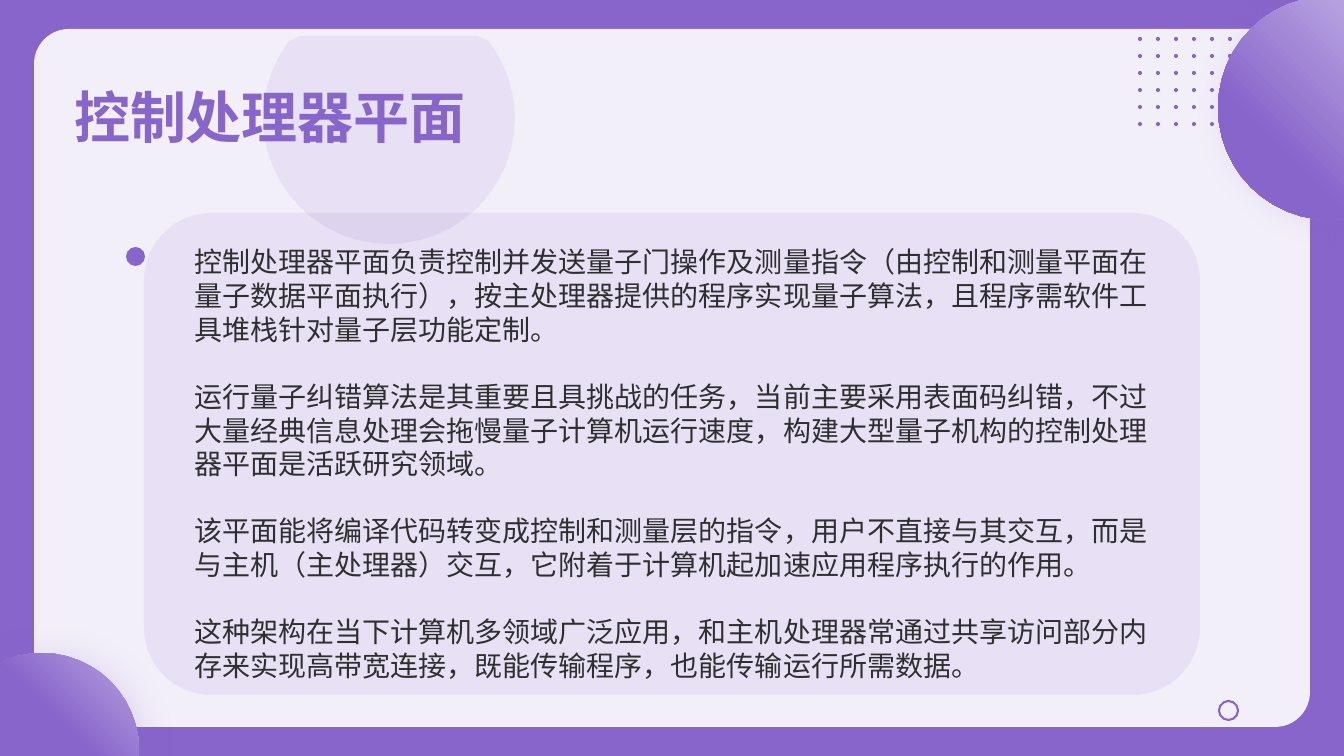
"""Build the slide on the control processor plane of a quantum computer."""
from math import cos, pi, sin
from lxml import etree
from pptx import Presentation
from pptx import util as u
from pptx.dml.color import RGBColor
from pptx.enum import shapes, text
from pptx.oxml.ns import qn

PX = 12192000 / 1344
WIDE, HIGH = 1344, 756
HUES = {"purple": "8865CB", "lilac": "B8A3E0", "white": "FFFFFF", "ink": "2F2F2F"}
RGB = {name: RGBColor.from_string(hue) for name, hue in HUES.items()}
NOTES = [
    "控制处理器平面负责控制并发送量子门操作及测量指令（由控制和测量平面在量子数据平面执行），按主处理器提供的程序实现量子算法，且程序需软件工具堆栈针对量子层功能定制。",
    "运行量子纠错算法是其重要且具挑战的任务，当前主要采用表面码纠错，不过大量经典信息处理会拖慢量子计算机运行速度，构建大型量子机构的控制处理器平面是活跃研究领域。",
    "该平面能将编译代码转变成控制和测量层的指令，用户不直接与其交互，而是与主机（主处理器）交互，它附着于计算机起加速应用程序执行的作用。",
    "这种架构在当下计算机多领域广泛应用，和主机处理器常通过共享访问部分内存来实现高带宽连接，既能传输程序，也能传输运行所需数据。",
]

deck = Presentation()
deck.slide_width, deck.slide_height = round(WIDE * PX), round(HIGH * PX)
slide = deck.slides.add_slide(deck.slide_layouts[1])
slide.background.fill.solid()
slide.background.fill.fore_color.rgb = RGB["purple"]
tree = slide.shapes


def outline(x, y, r, top=0):
    """Draw a circle as a freeform, cut at the slide edges and at top."""
    turns = [pi * i / 24 for i in range(48)]
    rim = [(10 * min(max(x + r * cos(a), 0), WIDE),
            10 * min(max(y + r * sin(a), top), HIGH)) for a in turns]
    build = tree.build_freeform(*rim[0], scale=PX / 10)
    build.add_line_segments(rim[1:], close=True)
    return build.convert_to_shape()


def paint(shape, hue=None, alpha=100, shade=False):
    """Give a shape a flat fill or none, no line, and a soft shadow if asked."""
    shape.shadow.inherit = False
    shape.line.fill.background()
    if hue:
        shape.fill.solid()
        shape.fill.fore_color.rgb = RGB[hue]
        tint = shape.fill._xPr.find(".//" + qn("a:srgbClr"))
        if alpha < 100:
            etree.SubElement(tint, qn("a:alpha"), val=str(alpha * 1000))
    else:
        shape.fill.background()
    if shade:
        glow = etree.SubElement(
            shape._element.spPr.find(qn("a:effectLst")), qn("a:outerShdw"),
            blurRad=str(u.Pt(23)), dist=str(u.Pt(5)), dir="0", rotWithShape="0")
        tint = etree.SubElement(glow, qn("a:srgbClr"), val=HUES["purple"])
        etree.SubElement(tint, qn("a:alpha"), val="17000")


kind = shapes.MSO_SHAPE
panel = tree.add_shape(kind.ROUNDED_RECTANGLE, *[round(v * PX) for v in (34, 29, 1276, 698)])
panel.adjustments[0] = 0.05
paint(panel, "white", 90, True)

build = tree.build_freeform(1142, 5, scale=PX)
for row in range(8):
    for col in range(7):
        if row or col:
            build.move_to(1142 + 18 * col, 5 + 17 * row)
        build.add_line_segments([], close=True)
grid = build.convert_to_shape()
for start in list(grid._element.iter(qn("a:moveTo"))):
    for angle in (10800000, 0):
        arc = etree.Element(qn("a:arcTo"), wR="2", hR="2", stAng=str(angle), swAng="10800000")
        start.addnext(arc)
paint(grid, "purple")

for ball in [(1330, 108, 112), (42, 750, 97)]:
    orb = outline(*ball)
    paint(orb, shade=True)
    orb.fill.gradient()
    orb.fill.gradient_angle = 225
    for stop, hue, place in zip(orb.fill.gradient_stops, ("lilac", "purple"), (0, 0.62)):
        stop.color.rgb, stop.position = RGB[hue], place

card = tree.add_shape(kind.ROUNDED_RECTANGLE, *[round(v * PX) for v in (144, 213, 1056, 482)])
card.adjustments[0] = 0.14
paint(card, "purple", 10)
paint(outline(389, 118, 126, 36), "purple", 10)

for x, y, hue in [(126, 247, "purple"), (1219, 701, None)]:
    spot = tree.add_shape(kind.OVAL, *[round(v * PX) for v in (x, y, 19, 19)])
    paint(spot, hue)
spot.line.color.rgb = RGB["purple"]
spot.line.width = u.Pt(1.5)

title, body = tree.title, tree.placeholders[1]
title.text = "控制处理器平面"
body.text = "\n".join(NOTES)
looks = [
    (body, (184, 259, 991, 428), "ink",
     {"size": u.Pt(20), "name": "Noto Sans CJK SC", "bold": False},
     {"line_spacing": u.Pt(24), "space_before": u.Pt(24)}),
    (title, (64, 56, 1198, 99), "purple",
     {"size": u.Pt(40), "name": "Arial", "bold": True}, {"space_before": u.Pt(0)}),
]
for box, spot, hue, face, gaps in looks:
    for side, v in zip(("left", "top", "width", "height"), spot):
        setattr(box, side, round(v * PX))
    frame = box.text_frame
    frame.word_wrap = True
    frame.auto_size = text.MSO_AUTO_SIZE.NONE
    frame.vertical_anchor = text.MSO_ANCHOR.BOTTOM
    for para in frame.paragraphs:
        for key, v in gaps.items():
            setattr(para, key, v)
        para.alignment = text.PP_ALIGN.LEFT
        props = para._p.get_or_add_pPr()
        props.set("marL", "0")
        props.set("indent", "0")
        etree.SubElement(props, qn("a:buNone"))
        for key, v in face.items():
            setattr(para.runs[0].font, key, v)
        para.runs[0].font.color.rgb = RGB[hue]
    frame.paragraphs[0].space_before = u.Pt(0)
    tree._spTree.append(box._element)

for para in body.text_frame.paragraphs:
    etree.SubElement(para.runs[0].font._element, qn("a:ea"), typeface="Noto Sans CJK SC")

deck.save("out.pptx")
